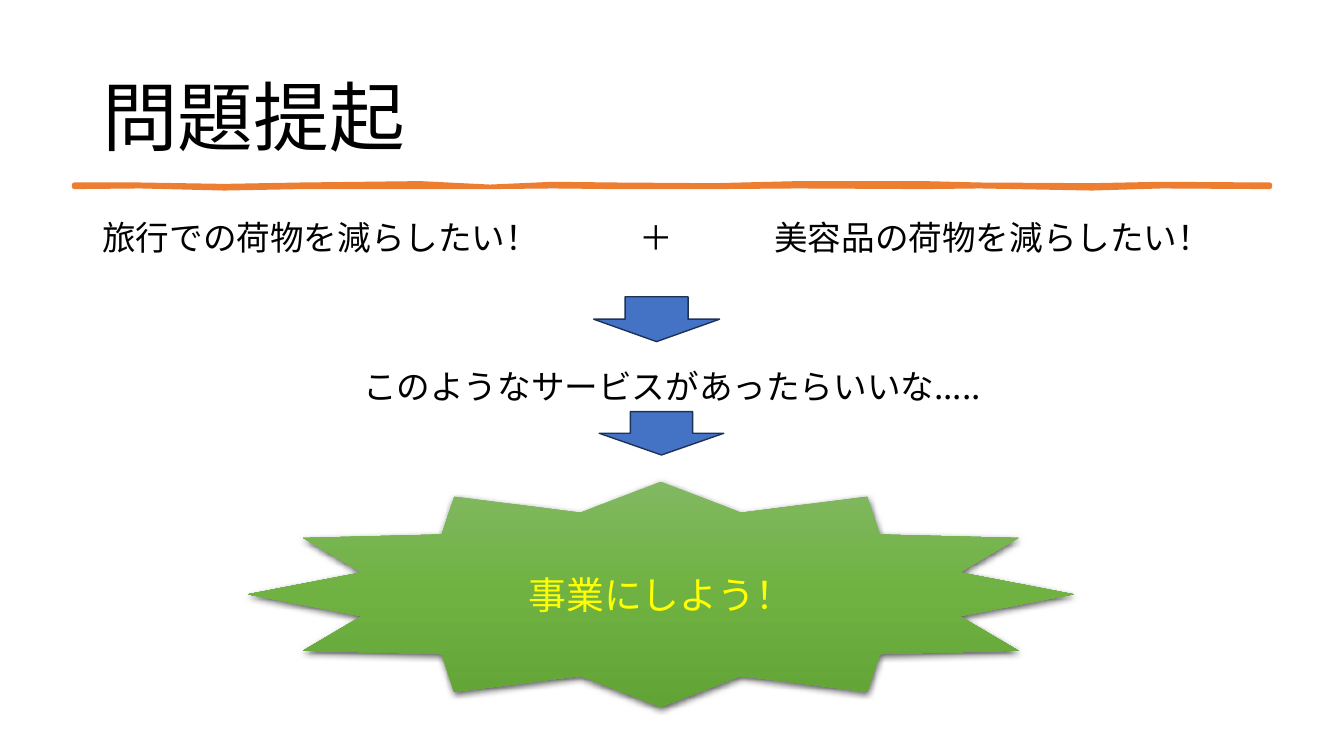
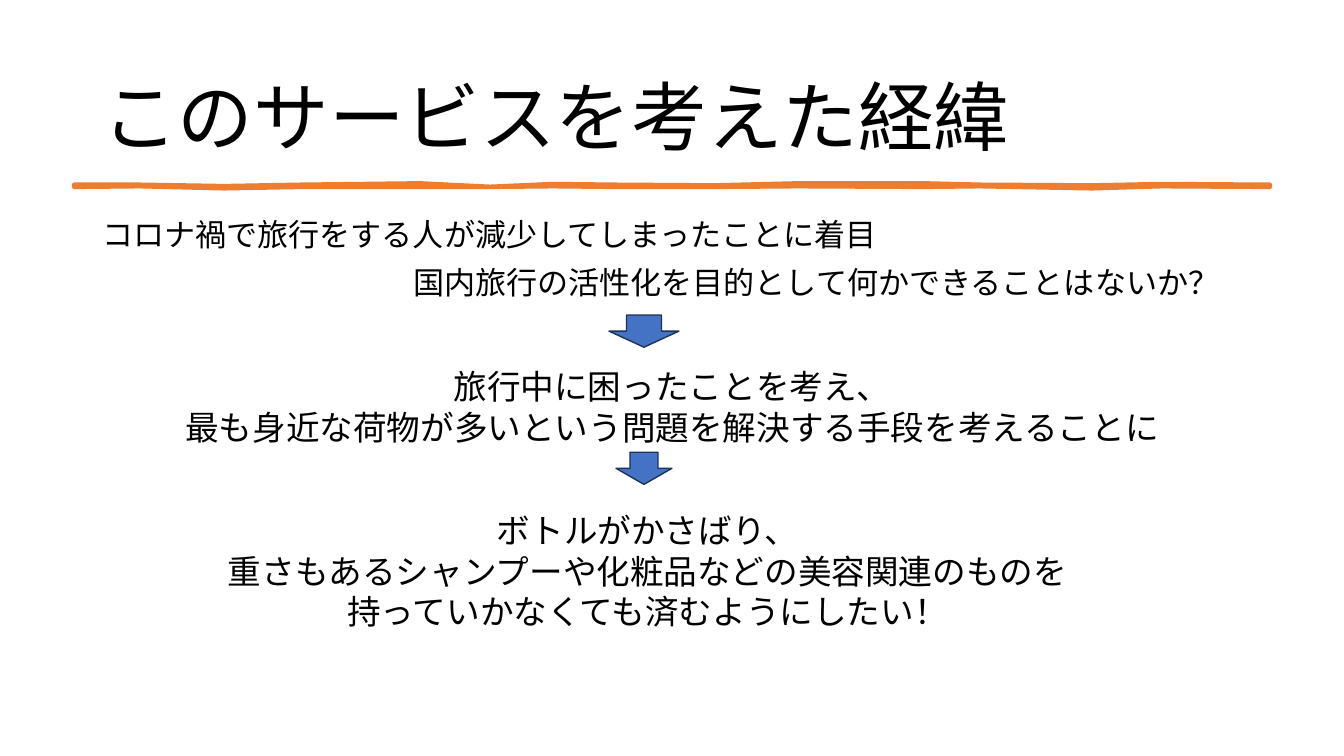
from lxml.etree import SubElement
from copy import deepcopy
from pptx import Presentation
from pptx.dml.color import RGBColor
from pptx.enum.shapes import MSO_SHAPE as Preset
from pptx.enum.text import MSO_ANCHOR as Anchor, PP_ALIGN as Align
from pptx.oxml.ns import qn
from pptx.util import Pt

COLORS = {
    "ink": "000000",
    "stroke": "ED7D31",
    "arrow": "4472C4",
    "arrow_edge": "1E3256",
    "star_top": "81B861",
    "star_middle": "6FB242",
    "star_bottom": "62A336",
    "star_text": "FFFF00",
}
LATIN = "Calibri"
JAPANESE = "Noto Sans CJK JP"
LEFT, WIDTH = 66, 828
TIGHT, NORMAL = 1.09, 1.2
BRUSH_EDGES = [
    (53, 132, 133.5), (100, 132, 133), (160, 133, 134.5),
    (215, 132, 133.5), (300, 131, 133.5), (350, 133.5, 133.5),
    (395, 131.5, 133), (440, 132, 133.5), (510, 132.5, 133.5),
    (570, 131, 133), (660, 131, 133.5), (700, 132, 133),
    (780, 132.5, 134.5), (830, 131.5, 133), (907, 132, 133.5),
]


def rgb(name):
    return RGBColor.from_string(COLORS[name])


def style(para, size, font=JAPANESE, color="ink", align=Align.LEFT, spacing=NORMAL):
    para.alignment = align
    para.line_spacing = Pt(round(size * spacing, 1))
    para.font.size = Pt(size)
    para.font.color.rgb = rgb(color)
    para.font.name = font
    SubElement(para.font._element, qn("a:ea")).set("typeface", JAPANESE)


def add_text(slide, left, top, width, height, lines, size, anchor=Anchor.TOP, **look):
    box = slide.shapes.add_textbox(Pt(left), Pt(top), Pt(width), Pt(height))
    frame = box.text_frame
    frame.word_wrap = True
    frame.vertical_anchor = anchor
    for index, line in enumerate(lines):
        para = frame.add_paragraph() if index else frame.paragraphs[0]
        para.text = line
        style(para, size, **look)
    return frame.paragraphs


def set_tabs(para, stops):
    properties = para._p.get_or_add_pPr()
    tabs = properties.makeelement(qn("a:tabLst"))
    for stop in stops:
        SubElement(tabs, qn("a:tab"), pos=str(Pt(stop)), algn="l")
    properties.find(qn("a:defRPr")).addprevious(tabs)


def add_brush_line(slide):
    top = [(Pt(x), Pt(upper)) for x, upper, _ in BRUSH_EDGES]
    bottom = [(Pt(x), Pt(lower)) for x, _, lower in reversed(BRUSH_EDGES)]
    builder = slide.shapes.build_freeform(*top[0])
    builder.add_line_segments(top[1:] + bottom)
    brush = builder.convert_to_shape()
    brush.shadow.inherit = False
    brush.fill.solid()
    brush.fill.fore_color.rgb = rgb("stroke")
    brush.line.color.rgb = rgb("stroke")
    brush.line.width = Pt(3.25)


def add_titled_slide(deck, title):
    slide = deck.slides.add_slide(deck.slide_layouts[6])
    add_text(slide, LEFT, 33, WIDTH, 104, [title], 54,
             anchor=Anchor.MIDDLE, font=LATIN, spacing=TIGHT)
    add_brush_line(slide)
    return slide


def add_down_arrow(slide, left, top, width, height):
    arrow = slide.shapes.add_shape(
        Preset.DOWN_ARROW, Pt(left), Pt(top), Pt(width), Pt(height))
    arrow.shadow.inherit = False
    arrow.fill.solid()
    arrow.fill.fore_color.rgb = rgb("arrow")
    arrow.line.color.rgb = rgb("arrow_edge")
    arrow.line.width = Pt(1)


def fill_gradient(shape, names):
    shape.fill.gradient()
    shape.fill.gradient_angle = 270
    stop_list = shape._element.spPr.find(qn("a:gradFill")).find(qn("a:gsLst"))
    while len(stop_list) < len(names):
        stop_list.append(deepcopy(stop_list[0]))
    for index, (stop, name) in enumerate(zip(shape.fill.gradient_stops, names)):
        stop.color.rgb = rgb(name)
        stop.position = index / (len(names) - 1)


def add_drop_shadow(shape):
    shape.shadow.inherit = False
    effects = shape._element.spPr.find(qn("a:effectLst"))
    shadow = SubElement(effects, qn("a:outerShdw"), blurRad=str(Pt(4.5)),
                        dist=str(Pt(1.5)), dir="5400000", algn="ctr", rotWithShape="0")
    color = SubElement(shadow, qn("a:srgbClr"), val=COLORS["ink"])
    SubElement(color, qn("a:alpha"), val="63000")


def add_star(slide, left, top, width, height, text):
    star = slide.shapes.add_shape(
        Preset.STAR_12_POINT, Pt(left), Pt(top), Pt(width), Pt(height))
    fill_gradient(star, ["star_top", "star_middle", "star_bottom"])
    star.line.fill.background()
    add_drop_shadow(star)
    frame = star.text_frame
    frame.vertical_anchor = Anchor.MIDDLE
    frame.text = text
    style(frame.paragraphs[0], 27, color="star_text", align=Align.CENTER)


def build_problem(deck):
    slide = add_titled_slide(deck, "問題提起")
    wishes = add_text(
        slide, LEFT, 154, WIDTH, 40,
        ["旅行での荷物を減らしたい！\t＋\t美容品の荷物を減らしたい！"],
        24, font=LATIN, spacing=TIGHT)
    set_tabs(wishes[0], [384, 480])
    add_down_arrow(slide, 424, 212, 90, 32)
    add_text(slide, 240, 258, 480, 36, ["このようなサービスがあったらいいな....."],
             24, align=Align.CENTER)
    add_down_arrow(slide, 428, 294, 89, 31)
    add_star(slide, 177, 344, 590, 161, "事業にしよう！")


def build_background(deck):
    slide = add_titled_slide(deck, "このサービスを考えた経緯")
    focus = add_text(
        slide, LEFT, 153, WIDTH, 66,
        ["コロナ禍で旅行をする人が減少してしまったことに着目",
         "国内旅行の活性化を目的として何かできることはないか？"],
        22.2, spacing=TIGHT)
    focus[1].space_before = Pt(10)
    focus[1]._p.get_or_add_pPr().set("marL", str(Pt(222)))
    add_down_arrow(slide, 435, 225, 50, 23)
    add_text(slide, 50, 258, 860, 66,
             ["旅行中に困ったことを考え、",
              "最も身近な荷物が多いという問題を解決する手段を考えることに"],
             24, align=Align.CENTER)
    add_down_arrow(slide, 440, 323, 40, 23)
    add_text(slide, LEFT, 361, 793, 94,
             ["ボトルがかさばり、",
              "重さもあるシャンプーや化粧品などの美容関連のものを",
              "持っていかなくても済むようにしたい！"],
             24, align=Align.CENTER)


def main():
    deck = Presentation()
    deck.slide_width, deck.slide_height = Pt(960), Pt(540)
    build_problem(deck)
    build_background(deck)
    deck.save("out.pptx")


if __name__ == "__main__":
    main()
